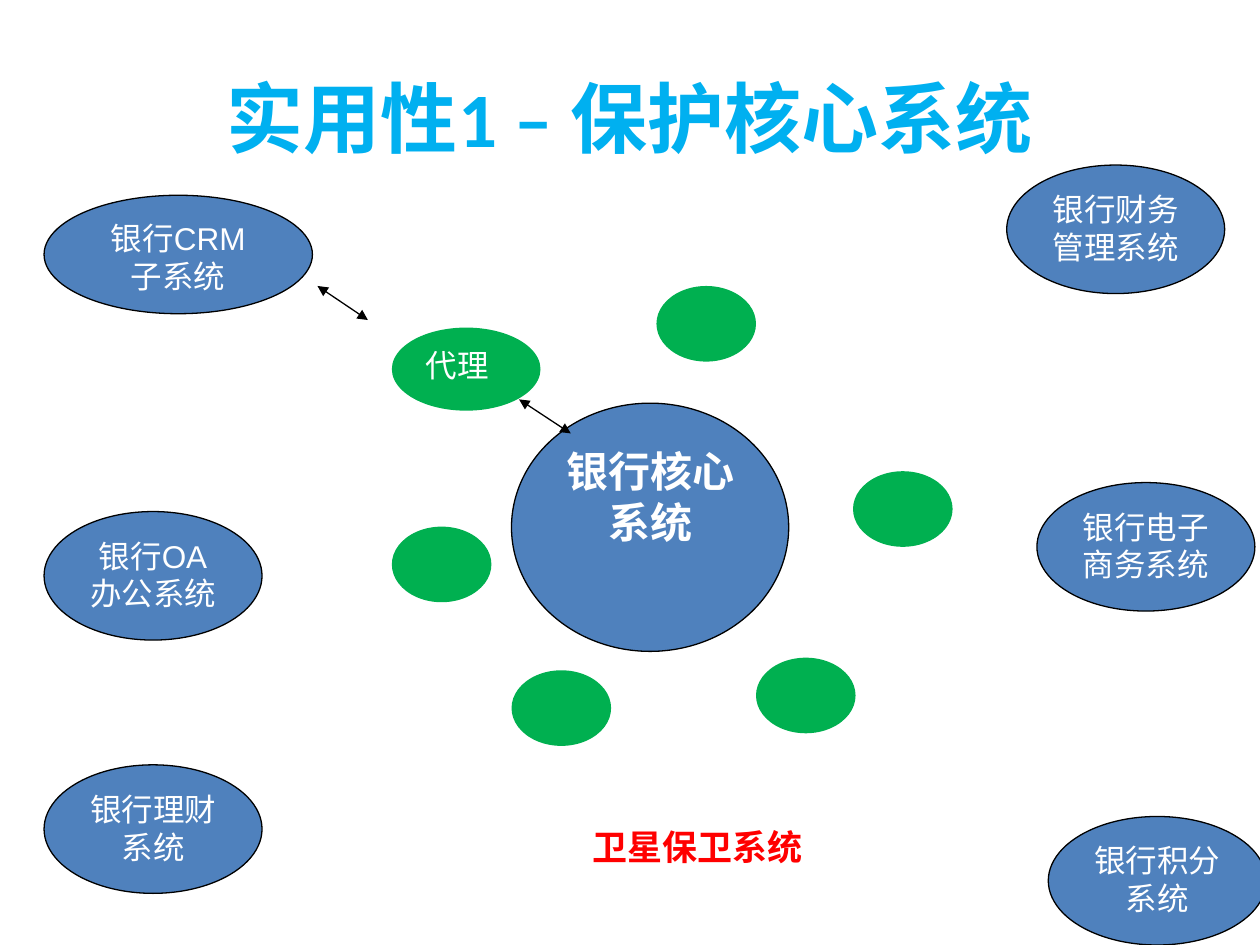
from pptx import Presentation
from pptx.dml.color import RGBColor
from pptx.enum.shapes import MSO_CONNECTOR as Connector, MSO_SHAPE as Shape
from pptx.enum.text import MSO_ANCHOR as Anchor, PP_ALIGN as Align
from pptx.oxml.ns import qn
from pptx.util import Inches, Pt
from lxml import etree

BLUE, GREEN, WHITE, BLACK = "4F81BD", "00B050", "FFFFFF", "000000"


def color(value):
    return RGBColor.from_string(value)


def write(holder, words, size, ink, bold=False, font="Arial",
          align=Align.CENTER, anchor=Anchor.TOP):
    frame = holder.text_frame
    frame.word_wrap = True
    frame.vertical_anchor = anchor
    paragraph = frame.paragraphs[0]
    paragraph.alignment = align
    run = paragraph.add_run()
    run.text = words
    run.font.name = font
    run.font.size = Pt(size)
    run.font.bold = bold
    run.font.color.rgb = color(ink)


prs = Presentation()
prs.slide_width, prs.slide_height = Inches(10), Inches(7.5)
slide = prs.slides.add_slide(prs.slide_layouts[6])
shapes = slide.shapes

# Title
title = shapes.add_textbox(Inches(0.5), Inches(0.3), Inches(9), Inches(1.25))
write(title, "实用性1 – 保护核心系统", 44, "00B0F0", True, "Calibri", anchor=Anchor.MIDDLE)

# Core system and the bank systems around it: text, left, top, width, height, size
systems = [
    ("银行核心系统", 4.06, 3.2, 2.2, 1.97, 24),
    ("银行CRM子系统", 0.35, 1.55, 2.13, 0.94, 18),
    ("银行OA办公系统", 0.35, 4.06, 1.73, 1.02, 18),
    ("银行理财系统", 0.35, 6.07, 1.73, 1.02, 18),
    ("银行财务管理系统", 7.99, 1.31, 1.73, 1.02, 18),
    ("银行电子商务系统", 8.23, 3.83, 1.73, 1.02, 18),
    ("银行积分系统", 8.32, 6.48, 1.73, 1.02, 18),
]
for words, left, top, width, height, size in systems:
    system = shapes.add_shape(Shape.OVAL, Inches(left), Inches(top), Inches(width), Inches(height))
    system.shadow.inherit = False
    system.fill.solid()
    system.fill.fore_color.rgb = color(BLUE)
    system.line.color.rgb = color(BLACK)
    system.line.width = Pt(0.75)
    write(system, words, size, WHITE, bold=size == 24)

# Satellites: the labelled agent first, then five equal ones
satellites = [("代理", 3.11, 2.6, 1.18, 0.66)]
satellites += [("", left, top, 0.79, 0.6) for left, top in
               [(3.11, 4.18), (4.06, 5.32), (6, 5.22), (6.77, 3.74), (5.21, 2.27)]]
for words, left, top, width, height in satellites:
    satellite = shapes.add_shape(Shape.OVAL, Inches(left), Inches(top), Inches(width), Inches(height))
    satellite.shadow.inherit = False
    satellite.fill.solid()
    satellite.fill.fore_color.rgb = color(GREEN)
    satellite.line.fill.background()
    if words:
        write(satellite, words, 18, WHITE, align=Align.LEFT)

# Caption
caption = shapes.add_textbox(Inches(3.9), Inches(6.5), Inches(3.27), Inches(0.44))
write(caption, "卫星保卫系统", 20, "FF0000", True)

# Two-way arrows: agent to core, CRM to agent
for x1, y1, x2, y2 in [(4.12, 3.17, 4.53, 3.44), (2.52, 2.27, 2.92, 2.54)]:
    arrow = shapes.add_connector(Connector.STRAIGHT, Inches(x1), Inches(y1), Inches(x2), Inches(y2))
    arrow.line.color.rgb = color(BLACK)
    arrow.line.width = Pt(0.75)
    outline = arrow.line._get_or_add_ln()
    for end in ("a:headEnd", "a:tailEnd"):
        etree.SubElement(outline, qn(end), type="triangle")
    etree.SubElement(arrow._element.spPr, qn("a:effectLst"))

prs.save("out.pptx")
